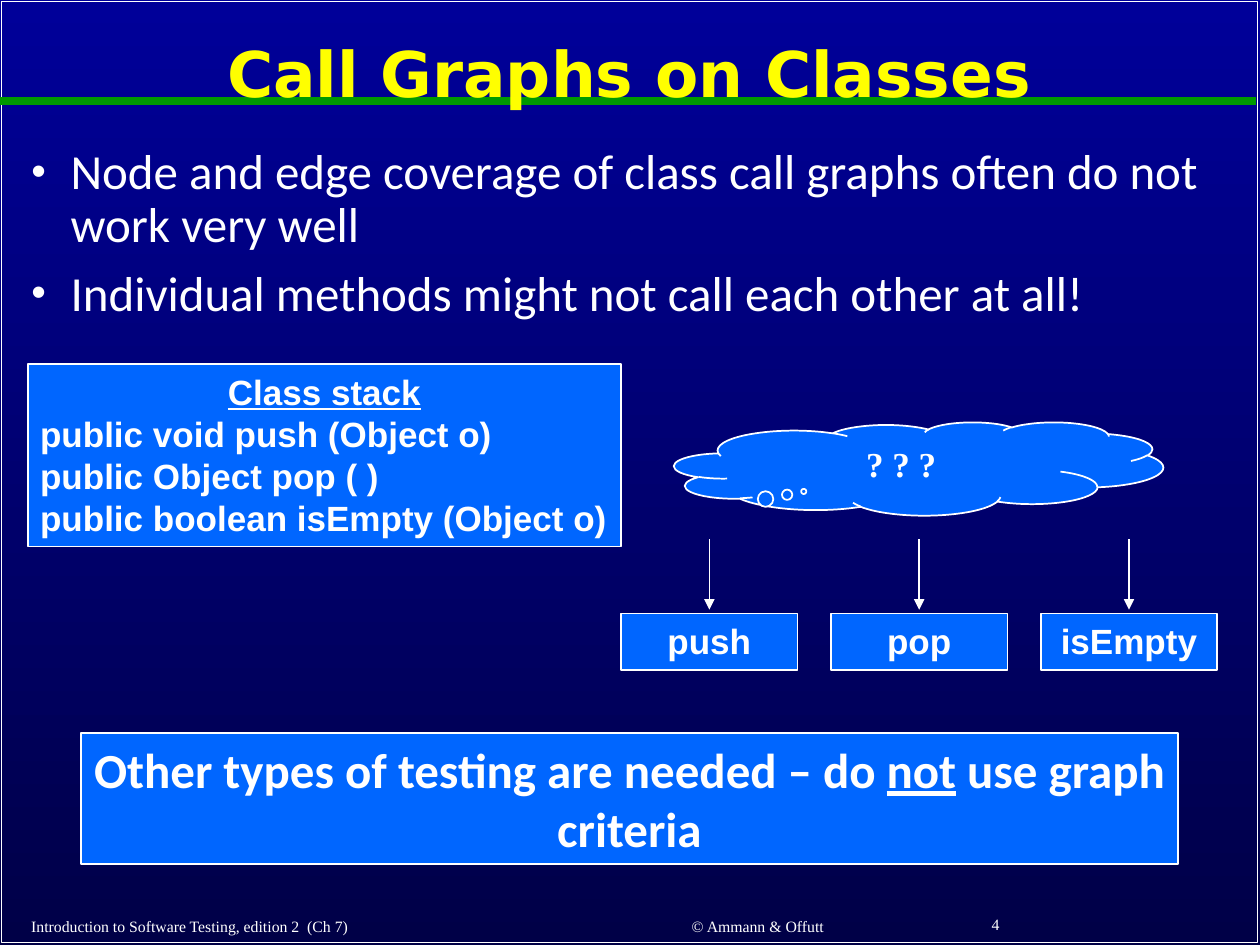
from lxml import etree
from pptx import Presentation
from pptx.dml.color import RGBColor
from pptx.enum.shapes import MSO_CONNECTOR, MSO_SHAPE
from pptx.enum.text import MSO_ANCHOR, MSO_AUTO_SIZE, PP_ALIGN
from pptx.oxml.ns import qn
from pptx.util import Cm, Pt

CENTER, LEFT = PP_ALIGN.CENTER, PP_ALIGN.LEFT
TOP, MIDDLE = MSO_ANCHOR.TOP, MSO_ANCHOR.MIDDLE
RECTANGLE, CLOUD = MSO_SHAPE.RECTANGLE, MSO_SHAPE.CLOUD_CALLOUT
STRAIGHT = MSO_CONNECTOR.STRAIGHT
WHITE, YELLOW, BLUE, GREEN = "FFFFFF", "FFFF00", "0066FF", "009900"


def color(target, value):
    """Give a fill, line fill or font a solid hex colour."""
    if hasattr(target, "solid"):
        target.solid()
        target.fore_color.rgb = RGBColor.from_string(value)
    else:
        target.color.rgb = RGBColor.from_string(value)


def write(shape, lines, font, size, bold=False, align=CENTER, anchor=TOP, ink=WHITE):
    """Fill a shape with paragraphs of one style."""
    frame = shape.text_frame
    frame.text = "\n".join(lines)
    frame.word_wrap = True
    frame.auto_size = MSO_AUTO_SIZE.NONE
    frame.vertical_anchor = anchor
    for paragraph in frame.paragraphs:
        paragraph.alignment = align
        paragraph.font.name = font
        paragraph.font.size = Pt(size)
        paragraph.font.bold = bold
        color(paragraph.font, ink)


deck = Presentation()
deck.slide_width, deck.slide_height = Cm(25.4), Cm(19.05)
page = deck.slides.add_slide(deck.slide_layouts[1])
shapes = page.shapes

# Background
background = page.background.fill
background.gradient()
background.gradient_angle = 270
for stop, shade in zip(background.gradient_stops, ("000099", "000047")):
    stop.color.rgb = RGBColor.from_string(shade)

# Border and title rule, behind the placeholders
border = shapes.add_shape(RECTANGLE, Cm(0.03), Cm(0.03), Cm(25.32), Cm(18.97))
border.shadow.inherit = False
border.fill.background()
color(border.line.fill, WHITE)
border.line.width = Pt(1)
rule = shapes.add_connector(STRAIGHT, 0, Cm(2.03), Cm(25.32), Cm(2.03))
color(rule.line.fill, GREEN)
rule.line.width = Pt(4.5)
etree.SubElement(rule._element.spPr, qn("a:effectLst"))
for position, backdrop in enumerate((border, rule), start=2):
    shapes._spTree.insert(position, backdrop._element)

# Title and bullets
title, body = shapes.title, page.placeholders[1]
title.left, title.top, title.width, title.height = Cm(0.33), Cm(0.28), Cm(24.71), Cm(2.54)
write(title, ["Call Graphs on Classes"], "DejaVu Sans", 36, True, anchor=MIDDLE, ink=YELLOW)
title.text_frame.paragraphs[0].line_spacing = 0.9

body.left, body.top, body.width, body.height = Cm(0.38), Cm(2.84), Cm(24.64), Cm(4.32)
write(body, [
    "Node and edge coverage of class call graphs often do not work very well",
    "Individual methods might not call each other at all!",
], "Calibri", 28, align=LEFT)
for paragraph in body.text_frame.paragraphs:
    paragraph.line_spacing = 0.9
    paragraph.space_before = Pt(9)
    properties = paragraph._p.get_or_add_pPr()
    properties.set("marL", str(Cm(0.79)))
    properties.set("indent", str(-Cm(0.79)))
    bullet_size = etree.Element(qn("a:buSzPct"), val="85000")
    bullet = etree.Element(qn("a:buChar"), char="•")
    properties.find(qn("a:defRPr")).addprevious(bullet_size)
    bullet_size.addnext(bullet)

# Blue boxes: kind, position in cm, lines, font, size
conclusion_parts = ["Other types of testing are needed – do ", "not", " use graph criteria"]
class_lines = [
    "Class stack",
    "public void push (Object o)",
    "public Object pop ( )",
    "public boolean isEmpty (Object o)",
]
boxes = [
    (RECTANGLE, (0.56, 7.34, 11.96, 3.68), class_lines, "Arial", 20),
    (RECTANGLE, (1.63, 14.78, 22.12, 2.64), [""], "Calibri", 28),
    (CLOUD, (13.59, 8.51, 9.86, 1.88), ["? ? ?"], "Times New Roman", 20),
]
method_left, method_width, method_pitch = 12.52, 3.56, 4.23
for column, method in enumerate(("push", "pop", "isEmpty")):
    left = method_left + column * method_pitch
    boxes.append((RECTANGLE, (left, 12.37, method_width, 1.14), [method], "Arial", 20))
    middle = Cm(left + method_width / 2)
    arrow = shapes.add_connector(STRAIGHT, middle, Cm(10.87), middle, Cm(12.29))
    color(arrow.line.fill, WHITE)
    arrow.line.width = Pt(1)
    etree.SubElement(arrow.line._get_or_add_ln(), qn("a:tailEnd"), type="triangle")
    etree.SubElement(arrow._element.spPr, qn("a:effectLst"))

drawn = []
for kind, place, lines, font, size in boxes:
    box = shapes.add_shape(kind, *(Cm(length) for length in place))
    box.shadow.inherit = False
    color(box.fill, BLUE)
    color(box.line.fill, WHITE)
    box.line.width = Pt(1)
    write(box, lines, font, size, True)
    drawn.append(box)
class_box, conclusion, cloud = drawn[:3]

heading, *signatures = class_box.text_frame.paragraphs
heading.runs[0].font.underline = True
for signature in signatures:
    signature.alignment = LEFT

for part in conclusion_parts:
    span = conclusion.text_frame.paragraphs[0].add_run()
    span.text = part
    if part == "not":
        span.font.underline = True

cloud.adjustments[0], cloud.adjustments[1] = -0.235, 0.244

# Footer
footers = [
    (0.38, 18.34, 10.44, "Introduction to Software Testing, edition 2  (Ch 7)", LEFT),
    (11.25, 18.34, 8.05, "© Ammann & Offutt", CENTER),
    (19.74, 18.31, 5.28, "4", LEFT),
]
for left, top, width, words, align in footers:
    footer = shapes.add_textbox(Cm(left), Cm(top), Cm(width), Cm(0.66))
    write(footer, [words], "Times New Roman", 9, align=align, anchor=MIDDLE)

deck.save("out.pptx")
